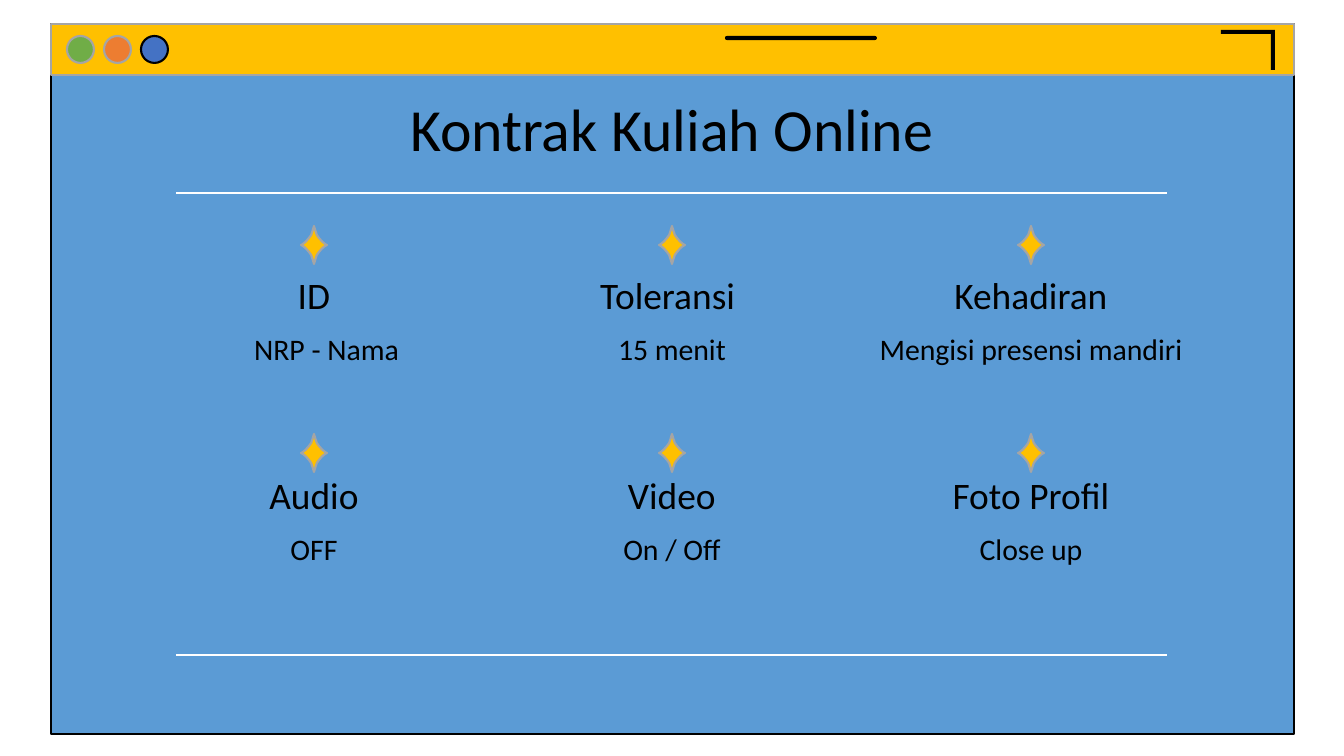
from dataclasses import dataclass

from lxml import etree
from pptx import Presentation
from pptx.dml.color import RGBColor
from pptx.enum.shapes import MSO_CONNECTOR, MSO_SHAPE
from pptx.enum.text import MSO_ANCHOR, MSO_AUTO_SIZE, PP_ALIGN
from pptx.oxml.ns import qn
from pptx.util import Pt

# Content
TITLE = "Kontrak Kuliah Online"
RULES = [
    [("ID", "NRP - Nama"), ("Toleransi ", "15 menit"),
     ("Kehadiran", "Mengisi presensi mandiri")],
    [("Audio", "OFF"), ("Video", "On / Off"), ("Foto Profil", "Close up")],
]


@dataclass(frozen=True)
class Theme:
    font: str = "Calibri"
    ink: str = "000000"
    panel: str = "5B9BD5"
    accent: str = "FFC000"
    edge: str = "A5A5A5"
    divider: str = "FFFFFF"
    buttons: tuple = (("70AD47", "A5A5A5"), ("ED7D31", "A5A5A5"),
                      ("4472C4", "000000"))
    title_size: float = 42.7
    head_size: float = 26.7
    body_size: float = 21.3
    line_width: float = 1.5


T = Theme()

# Layout in px
PX = 914400 / 100.8
SLIDE = (1344, 756)
WINDOW = (51, 24, 1243, 710)
BAR_H = 51
BUTTON_X, BUTTON_Y, BUTTON_D, BUTTON_STEP = 67, 36, 27, 37
MINIMIZE = (725, 36, 152, 4)
CORNER = [(1221, 30), (1275, 30), (1275, 70), (1271, 70), (1271, 34), (1221, 34)]
TITLE_BOX = (105, 87, 1134, 85)
INSET = 13
COLS, COL_W = (148, 506, 865), 332
ROWS = ((245, 272), (453, 472))  # star centre, heading top
HEAD_H, BODY_DY, BODY_H = 59, 46, 90
STAR_DX = 166
WIDE_BODY = {"NRP - Nama": (120, 413)}
DIVIDER_X, DIVIDER_YS = (176, 1167), (193, 655)
STAR_ARC = [(0, -19), (1.5, -14), (2.8, -10), (5, -7), (8, -3.5), (11, -1), (13, 0)]


def px(*lengths):
    return [round(v * PX) for v in lengths]


def paint(sp, fill, line=None):
    sp.shadow.inherit = False
    sp.fill.solid()
    sp.fill.fore_color.rgb = RGBColor.from_string(fill)
    if line:
        sp.line.color.rgb = RGBColor.from_string(line)
        sp.line.width = Pt(T.line_width)
    else:
        sp.line.fill.background()


def add_box(s, kind, box, fill, line=None):
    sp = s.shapes.add_shape(kind, *px(*box))
    paint(sp, fill, line)
    return sp


def add_outline(s, points, fill, line=None):
    start, *rest = [px(*point) for point in points]
    builder = s.shapes.build_freeform(*start)
    builder.add_line_segments(rest, close=True)
    paint(builder.convert_to_shape(), fill, line)


def write(sp, text, size, anchor=MSO_ANCHOR.TOP, spacing=1.0):
    tf = sp.text_frame
    tf.text = text
    tf.word_wrap = True
    tf.auto_size = MSO_AUTO_SIZE.NONE
    tf.vertical_anchor = anchor
    tf.margin_left = tf.margin_right = tf.margin_top = tf.margin_bottom = px(INSET)[0]
    p = tf.paragraphs[0]
    p.alignment = PP_ALIGN.CENTER
    p.line_spacing = spacing
    font = p.runs[0].font
    font.name, font.size = T.font, Pt(size)
    font.color.rgb = RGBColor.from_string(T.ink)


def add_window(s):
    left, top, width, _ = WINDOW
    add_box(s, MSO_SHAPE.RECTANGLE, WINDOW, T.panel, T.ink)
    add_box(s, MSO_SHAPE.RECTANGLE, (left, top, width, BAR_H), T.accent, T.edge)
    add_outline(s, CORNER, T.ink)
    minimize = add_box(s, MSO_SHAPE.ROUNDED_RECTANGLE, MINIMIZE, T.ink)
    minimize.adjustments[0] = 0.5
    for i, (fill, line) in enumerate(T.buttons):
        box = (BUTTON_X + i * BUTTON_STEP, BUTTON_Y, BUTTON_D, BUTTON_D)
        add_box(s, MSO_SHAPE.OVAL, box, fill, line)


def add_title(s):
    title = s.shapes.title
    title.left, title.top, title.width, title.height = px(*TITLE_BOX)
    write(title, TITLE, T.title_size, spacing=0.9)
    # Bring the title in front of the window
    title.element.getparent().append(title.element)


def add_star(s, cx, cy):
    right = STAR_ARC + [(x, -y) for x, y in STAR_ARC[-2::-1]]
    left = [(-x, y) for x, y in right[-2:0:-1]]
    add_outline(s, [(cx + x, cy + y) for x, y in right + left], T.accent, T.edge)


def add_rule(s, x, star_y, y, head, body):
    heading = s.shapes.add_textbox(*px(x, y, COL_W, HEAD_H))
    write(heading, head, T.head_size, MSO_ANCHOR.BOTTOM, 0.9)
    body_x, body_w = WIDE_BODY.get(body, (x, COL_W))
    detail = s.shapes.add_textbox(*px(body_x, y + BODY_DY, body_w, BODY_H))
    write(detail, body, T.body_size)
    add_star(s, x + STAR_DX, star_y)


def add_divider(s, y):
    x1, x2 = DIVIDER_X
    line = s.shapes.add_connector(MSO_CONNECTOR.STRAIGHT, *px(x1, y, x2, y))
    line.line.color.rgb = RGBColor.from_string(T.divider)
    line.line.width = Pt(T.line_width)
    etree.SubElement(line.element.spPr, qn("a:effectLst"))


def main():
    prs = Presentation()
    prs.slide_width, prs.slide_height = px(*SLIDE)
    s = prs.slides.add_slide(prs.slide_layouts[5])

    # Window and title
    add_window(s)
    add_title(s)

    # Rules grid
    for (star_y, y), row in zip(ROWS, RULES):
        for x, (head, body) in zip(COLS, row):
            add_rule(s, x, star_y, y, head, body)

    # Dividers
    for y in DIVIDER_YS:
        add_divider(s, y)

    prs.save("out.pptx")


if __name__ == "__main__":
    main()
